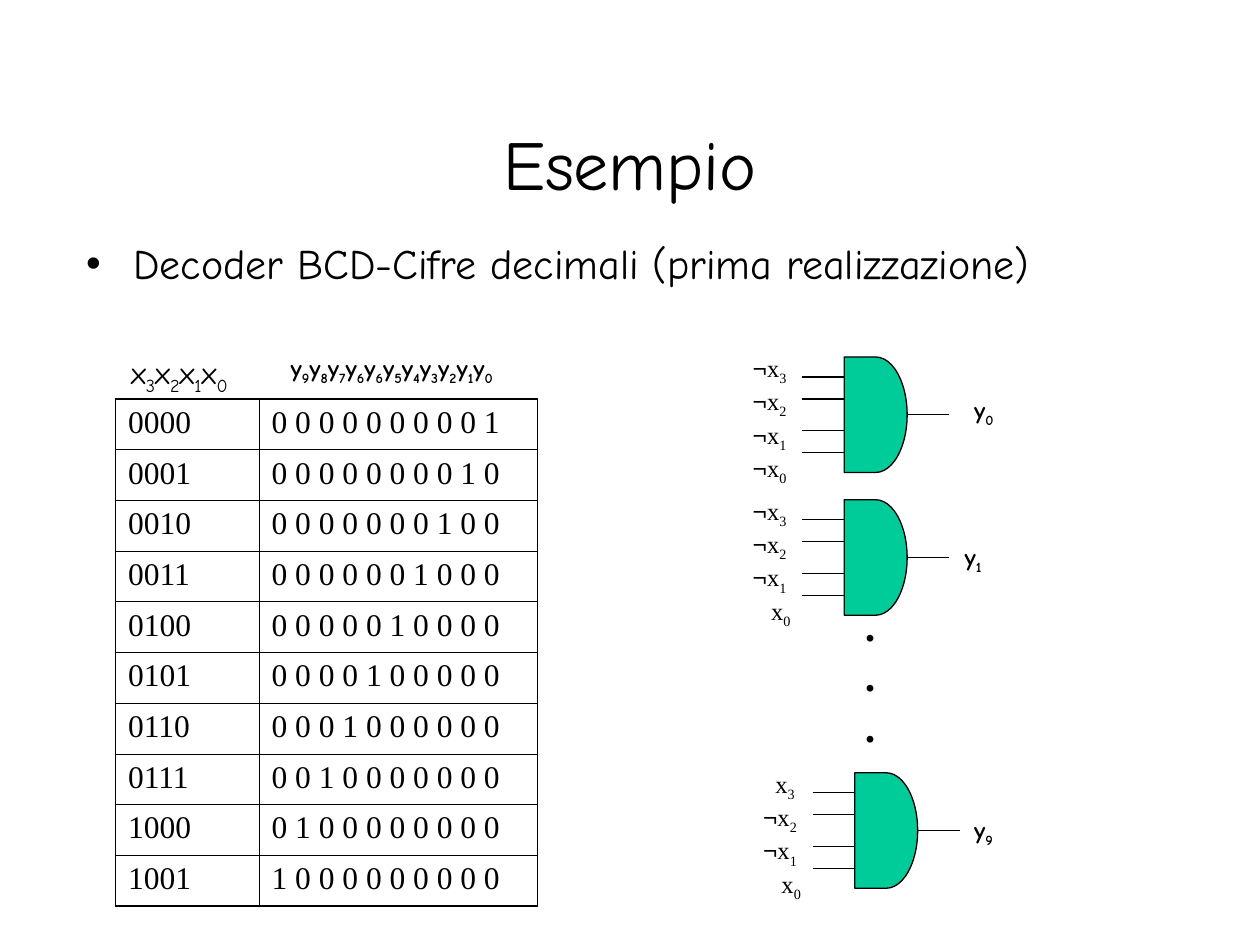
import itertools

import lxml.etree
import pptx
import pptx.dml.color
import pptx.enum.shapes
import pptx.enum.text
import pptx.oxml.ns
import pptx.util

COLORS = {"ink": "000000", "gate": "00CC99"}
HAND, SERIF, SYMBOL = "Comic Neue", "Times New Roman", "Arial"
DIGITS = 10
INPUT_WIRES = (1.9, 4, 7, 9.1)
THIN, THICK = 0.45, 1.08


def u(n):
    """Length of n grid units; the slide is 120 columns by 90 rows."""
    return pptx.util.Inches(n / 12)


def rgb(name):
    return pptx.dml.color.RGBColor.from_string(COLORS[name])


def style(r, font, size, bold=False):
    r.font.name = font
    r.font.size = pptx.util.Pt(size)
    r.font.bold = bold
    r.font.color.rgb = rgb("ink")


def place(sp, x, y, w, h):
    sp.left, sp.top, sp.width, sp.height = u(x), u(y), u(w), u(h)


def add_terms(p, terms, font, size, bold=False):
    """Write terms such as ¬x3, with the digits as subscripts."""
    for ch in terms:
        r = p.add_run()
        r.text = ch
        style(r, SYMBOL if ch == "¬" else font, size, bold)
        if ch.isdigit():
            r._r.get_or_add_rPr().set("baseline", "-25000")


def add_label(s, box, lines, font, size, bold=False, indents=None):
    """Add a text box with one paragraph for each line, indented in points."""
    tf = s.shapes.add_textbox(*map(u, box)).text_frame
    tf.word_wrap = False
    tf.auto_size = pptx.enum.text.MSO_AUTO_SIZE.SHAPE_TO_FIT_TEXT
    for i, line in enumerate(lines):
        p = tf.add_paragraph() if i else tf.paragraphs[0]
        if indents and indents[i]:
            p._p.get_or_add_pPr().set("marL", str(pptx.util.Pt(indents[i])))
        add_terms(p, line, font, size, bold)


def add_heading(s):
    title, body = s.shapes.title, s.placeholders[1]
    place(title, 9, 8, 102, 15)
    place(body, 7, 22, 102, 9)
    title.text_frame.text = "Esempio"
    body.text_frame.text = "Decoder BCD-Cifre decimali (prima realizzazione)"
    for sp, size in ((title, 40), (body, 24)):
        p = sp.text_frame.paragraphs[0]
        p.space_before = pptx.util.Pt(0)
        style(p.runs[0], HAND, size)


def set_borders(cell, widths):
    tcPr = cell._tc.get_or_add_tcPr()
    qn = pptx.oxml.ns.qn
    for side, width in zip("LRTB", widths):
        ln = lxml.etree.SubElement(tcPr, qn(f"a:ln{side}"), w=str(pptx.util.Pt(width)))
        fill = lxml.etree.SubElement(ln, qn("a:solidFill"))
        lxml.etree.SubElement(fill, qn("a:srgbClr"), val=COLORS["ink"])


def add_truth_table(s, x, y, w, h):
    add_label(s, (x + 0.3, y - 5, 12.5, 5.3), ["x3x2x1x0"], HAND, 18)
    add_label(s, (x + 15.5, y - 5, 22.6, 4.4), ["y9y8y7y6y6y5y4y3y2y1y0"], HAND, 14, True)
    table = s.shapes.add_table(DIGITS, 2, u(x), u(y), u(w), u(h)).table
    table.first_row = table.horz_banding = False
    for col, share in zip(table.columns, (0.34, 0.66)):
        col.width = u(w * share)
    for row, col in itertools.product(range(DIGITS), range(2)):
        cell = table.cell(row, col)
        cell.text = (f"{row:04b}", " ".join(f"{1 << row:010b}"))[col]
        style(cell.text_frame.paragraphs[0].runs[0], SERIF, 18)
        outer = (col == 0, col == 1, row == 0, row == DIGITS - 1)
        set_borders(cell, [THICK if edge else THIN for edge in outer])
        cell.fill.background()


def add_wire(group, x, y, x2):
    line = group.shapes.add_connector(
        pptx.enum.shapes.MSO_CONNECTOR.STRAIGHT, u(x), u(y), u(x2), u(y))
    line.line.color.rgb = rgb("ink")
    line.line.width = pptx.util.Pt(0.75)
    lxml.etree.SubElement(line._element.spPr, pptx.oxml.ns.qn("a:effectLst"))
    return line


def add_and_gate(s, x, y, inputs, indents, output, output_at):
    """Draw a gate whose body starts at x, y; output_at is relative to it."""
    w, h, wire = 6, 11, 4
    group = s.shapes.add_group_shape()
    gate = group.shapes.add_shape(
        pptx.enum.shapes.MSO_SHAPE.FLOWCHART_DELAY, u(x), u(y), u(w), u(h))
    gate.shadow.inherit = False
    gate.fill.solid()
    gate.fill.fore_color.rgb = rgb("gate")
    gate.line.color.rgb = rgb("ink")
    gate.line.width = pptx.util.Pt(0.75)
    for dy in INPUT_WIRES:
        add_wire(group, x - wire, y + dy, x)
    add_wire(group, x + w, y + h / 2, x + w + wire).begin_connect(gate, 3)
    add_label(s, (x - 9.9, y - 1, 6.4, 14), inputs, SERIF, 14, indents=indents)
    dx, dy = output_at
    add_label(s, (x + dx, y + dy, 5, 4.4), [output], HAND, 14, True)


def add_gates(s, x, y):
    add_and_gate(s, x, y, ["¬x3", "¬x2", "¬x1", "¬x0"], (0, 0, 0, 0), "y0", (11.2, 3))
    add_and_gate(s, x, y + 13.6, ["¬x3", "¬x2", "¬x1", "x0"], (0, 0, 0, 10.5), "y1", (10.3, 3.4))
    add_label(s, (x + 0.8, y + 22.5, 3.4, 15.6), ["."] * 3, SERIF, 24, True)
    add_and_gate(s, x + 1, y + 39.6, ["x3", "¬x2", "¬x1", "x0"], (7, 0, 0, 10.5), "y9", (10.2, 3.4))


def main():
    prs = pptx.Presentation()
    prs.slide_width, prs.slide_height = u(120), u(90)
    s = prs.slides.add_slide(prs.slide_layouts[1])
    add_heading(s)
    add_truth_table(s, 11, 38, 40.2, 48.3)
    add_gates(s, 80.4, 34)
    prs.save("out.pptx")


if __name__ == "__main__":
    main()
